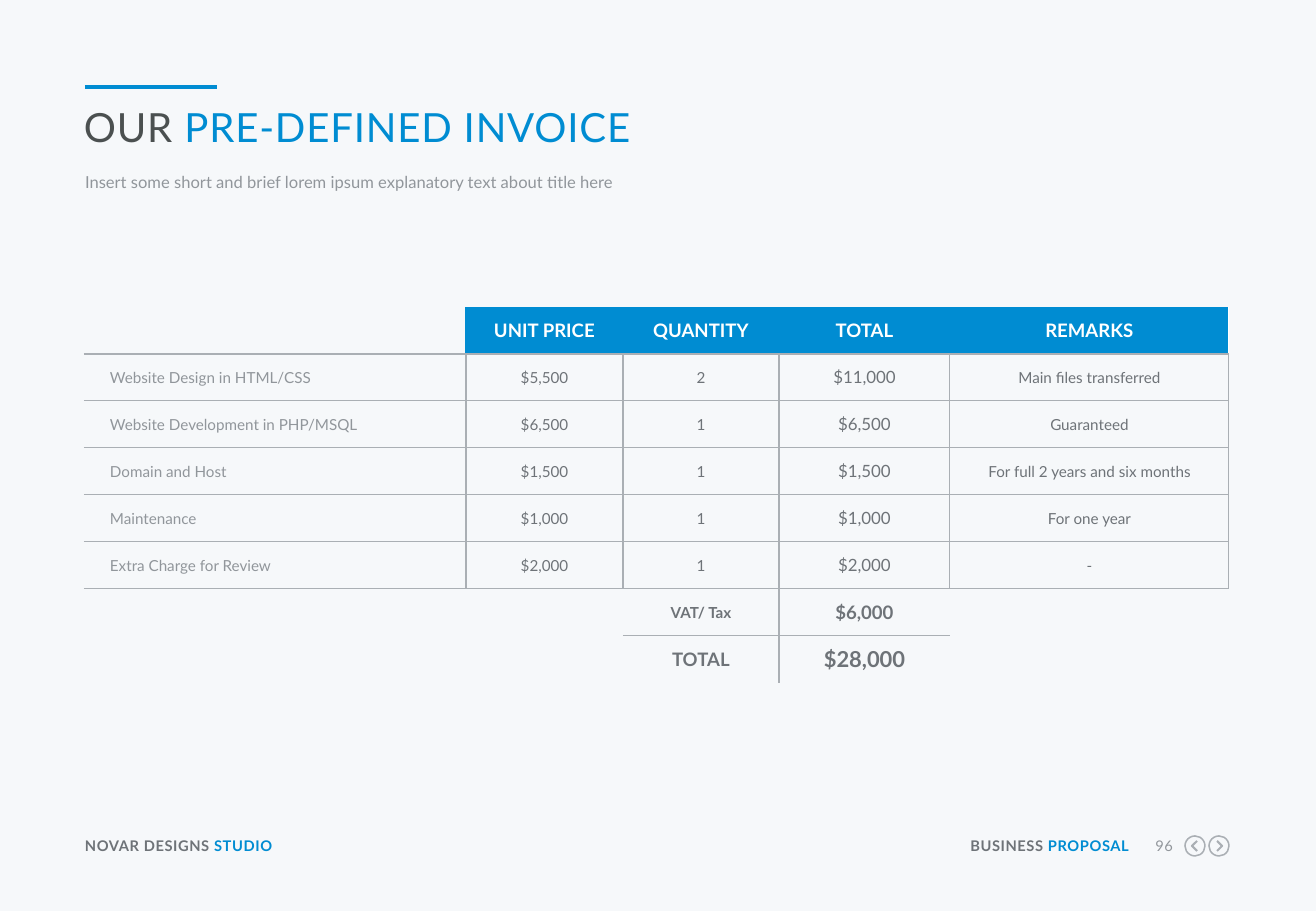
from lxml import etree
from pptx import Presentation
from pptx.dml.color import RGBColor
from pptx.enum.shapes import MSO_CONNECTOR, MSO_SHAPE
from pptx.enum.text import MSO_ANCHOR, PP_ALIGN
from pptx.oxml.ns import qn
from pptx.util import Pt

PX = 914400 / 121.5
FONT = "Lato"
LEFT, CENTER, RIGHT = PP_ALIGN.LEFT, PP_ALIGN.CENTER, PP_ALIGN.RIGHT
MIDDLE = MSO_ANCHOR.MIDDLE
STRAIGHT = MSO_CONNECTOR.STRAIGHT
OVAL = MSO_SHAPE.OVAL

BACKGROUND = RGBColor(0xF6, 0xF8, 0xFA)
BLUE = RGBColor(0x00, 0x8C, 0xD2)
WHITE = RGBColor(0xFF, 0xFF, 0xFF)
DARK = RGBColor(0x4B, 0x50, 0x50)
TEXT = RGBColor(0x6E, 0x73, 0x78)
MUTED = RGBColor(0x91, 0x96, 0x9B)
RULE = RGBColor(0xAA, 0xAF, 0xB4)


def write(frame, parts, size, bold=False, align=LEFT, tracking=0, leading=None):
    frame.margin_left = frame.margin_right = frame.margin_top = frame.margin_bottom = 0
    frame.word_wrap = True
    paragraph = frame.paragraphs[0]
    paragraph.alignment = align
    if leading:
        paragraph.line_spacing = Pt(leading)
    for text, color in parts:
        run = paragraph.add_run()
        run.text = text
        run.font.name = FONT
        run.font.size = Pt(size)
        run.font.bold = bold
        run.font.color.rgb = color
        if tracking:
            run.font._element.set("spc", str(round(tracking * 100)))


def set_borders(cell, **colors):
    properties = cell._tc.get_or_add_tcPr()
    for index, side in enumerate(("left", "right", "top", "bottom")):
        line = etree.Element(qn("a:ln" + side[0].upper()), w=str(Pt(0.75)))
        color = colors.get(side)
        if color is None:
            etree.SubElement(line, qn("a:noFill"))
        else:
            fill = etree.SubElement(line, qn("a:solidFill"))
            etree.SubElement(fill, qn("a:srgbClr"), val=str(color))
        properties.insert(index, line)


presentation = Presentation()
presentation.slide_width = round(1316 * PX)
presentation.slide_height = round(911 * PX)
slide = presentation.slides.add_slide(presentation.slide_layouts[6])
slide.background.fill.solid()
slide.background.fill.fore_color.rgb = BACKGROUND

accent = slide.shapes.add_connector(
    STRAIGHT, *(round(value * PX) for value in (85, 87, 217, 87)))
accent.line.color.rgb = BLUE
accent.line.width = Pt(2.25)
etree.SubElement(accent._element.spPr, qn("a:effectLst"))

subtitle = "Insert some short and brief lorem ipsum explanatory text about title here"
footer = dict(size=8.7, tracking=0.3)
text_boxes = [
    ((84, 102, 1145, 50), [("OUR ", DARK), ("PRE-DEFINED INVOICE", BLUE)],
     dict(size=23.8, tracking=0.5)),
    ((85, 170, 1145, 26), [(subtitle, MUTED)], dict(size=9.8, leading=13)),
    ((85, 837, 256, 18), [("NOVAR DESIGNS ", TEXT), ("STUDIO", BLUE)],
     dict(footer, bold=True)),
    ((962, 837, 167, 18), [("BUSINESS ", TEXT), ("PROPOSAL", BLUE)],
     dict(footer, bold=True, align=RIGHT)),
    ((1143, 837, 30, 18), [("96", MUTED)], dict(footer, align=RIGHT)),
]
for box, parts, style in text_boxes:
    shape = slide.shapes.add_textbox(*(round(value * PX) for value in box))
    write(shape.text_frame, parts, **style)

for center, direction in ((1195, -1), (1219, 1)):
    ring = slide.shapes.add_shape(
        OVAL, *(round(value * PX) for value in (center - 10, 836, 20, 20)))
    builder = slide.shapes.build_freeform(center - 2 * direction, 841, scale=PX)
    builder.add_line_segments(
        [(center + 3 * direction, 846), (center - 2 * direction, 851)], close=False)
    chevron = builder.convert_to_shape()
    for shape, width in ((ring, 0.9), (chevron, 1.25)):
        shape.shadow.inherit = False
        shape.fill.background()
        shape.line.color.rgb = RULE
        shape.line.width = Pt(width)

invoice = [
    ("", "UNIT PRICE", "QUANTITY", "TOTAL", "REMARKS"),
    ("Website Design in HTML/CSS", "$5,500", "2", "$11,000", "Main files transferred"),
    ("Website Development in PHP/MSQL", "$6,500", "1", "$6,500", "Guaranteed"),
    ("Domain and Host", "$1,500", "1", "$1,500", "For full 2 years and six months"),
    ("Maintenance", "$1,000", "1", "$1,000", "For one year"),
    ("Extra Charge for Review", "$2,000", "1", "$2,000", "-"),
    ("", "", "VAT/ Tax", "$6,000", ""),
    ("", "", "TOTAL", "$28,000", ""),
]
column_widths = (382, 157, 156, 171, 279)
body_sizes = (9, 9, 9, 10, 9)
summary_sizes = {(6, 2): 9, (6, 3): 11, (7, 2): 11, (7, 3): 13}
table = slide.shapes.add_table(
    len(invoice), len(column_widths),
    *(round(value * PX) for value in (84, 307, sum(column_widths), 47 * len(invoice)))).table
table.first_row = False
table.horz_banding = False
for column, width in zip(table.columns, column_widths):
    column.width = round(width * PX)

for row_index, row in enumerate(invoice):
    table.rows[row_index].height = round(47 * PX)
    for column_index, text in enumerate(row):
        cell = table.cell(row_index, column_index)
        cell.vertical_anchor = MIDDLE
        cell.fill.background()
        size, color, bold, align = body_sizes[column_index], TEXT, False, CENTER
        if row_index == 0:
            size, color, bold = 11, WHITE, True
            if text:
                cell.fill.solid()
                cell.fill.fore_color.rgb = BLUE
            borders = dict(left=BLUE if text else None,
                           right=WHITE if column_index == 4 else BLUE, bottom=RULE)
        elif row_index < 6:
            if column_index == 0:
                color, align = MUTED, LEFT
            borders = dict(left=RULE if column_index else None,
                           right=RULE, top=RULE, bottom=RULE)
        else:
            size, bold = summary_sizes.get((row_index, column_index), 9), True
            borders = dict(left=RULE if column_index == 3 else None,
                           right=RULE if column_index == 2 else None,
                           top=RULE if row_index == 6 or text else None,
                           bottom=RULE if row_index == 6 and text else None)
        write(cell.text_frame, [(text, color)] if text else [], size, bold, align)
        cell.margin_left = round(26 * PX) if align == LEFT else 0
        cell.margin_right = cell.margin_top = cell.margin_bottom = 0
        set_borders(cell, **borders)

table.cell(6, 0).merge(table.cell(7, 1))
table.cell(6, 4).merge(table.cell(7, 4))

presentation.save("out.pptx")
